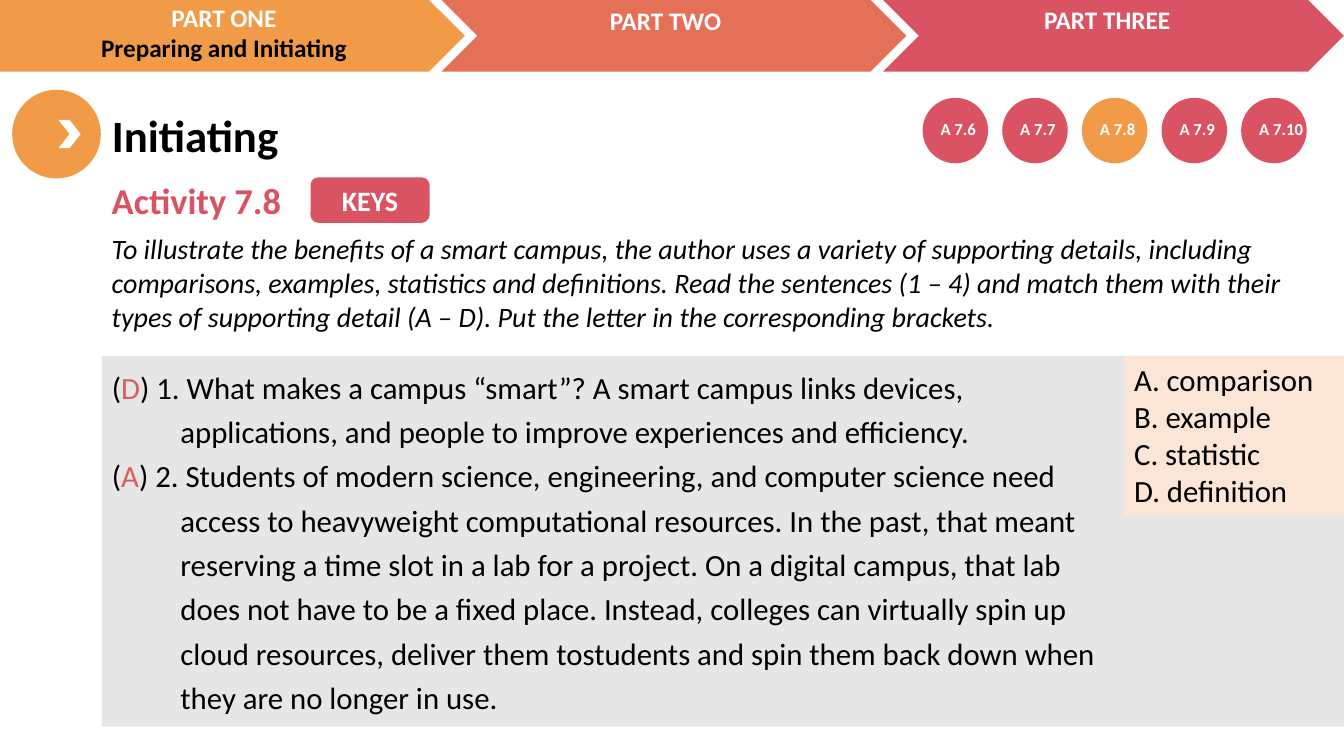
import pptx
import pptx.util
import pptx.dml.color
import pptx.enum.shapes
import pptx.enum.text
from lxml import etree

Inches = pptx.util.Inches
Pt = pptx.util.Pt
RGBColor = pptx.dml.color.RGBColor
Shape = pptx.enum.shapes.MSO_SHAPE
Align = pptx.enum.text.PP_ALIGN
Anchor = pptx.enum.text.MSO_ANCHOR

ORANGE = RGBColor(0xF1, 0x9B, 0x48)
CORAL = RGBColor(0xE4, 0x70, 0x57)
ROSE = RGBColor(0xDA, 0x53, 0x62)
ANSWER = RGBColor(0xDD, 0x5C, 0x60)
GRAY = RGBColor(0xE7, 0xE6, 0xE6)
PEACH = RGBColor(0xFB, 0xE5, 0xD6)
WHITE = RGBColor(0xFF, 0xFF, 0xFF)
BLACK = RGBColor(0, 0, 0)

PARTS = [
    (["PART ONE", "Preparing and Initiating"], ORANGE, Shape.PENTAGON, 0.02),
    (["PART TWO"], CORAL, Shape.CHEVRON, 0.05),
    (["PART THREE"], ROSE, Shape.CHEVRON, 0.04),
]
TITLE = "Initiating"
ACTIVITY = "Activity 7.8"
KEYS = "KEYS"
INSTRUCTION = (
    "To illustrate the benefits of a smart campus, the author uses a variety of "
    "supporting details, including comparisons, examples, statistics and definitions. "
    "Read the sentences (1 – 4) and match them with their types of supporting detail "
    "(A – D). Put the letter in the corresponding brackets."
)
ACTIVITIES = ["A 7.6", "A 7.7", "A 7.8", "A 7.9", "A 7.10"]
CURRENT_ACTIVITY = "A 7.8"
SENTENCES = [
    ("D", "1. What makes a campus “smart”? A smart campus links devices, applications, "
          "and people to improve experiences and efficiency."),
    ("A", "2. Students of modern science, engineering, and computer science need access to "
          "heavyweight computational resources. In the past, that meant reserving a time "
          "slot in a lab for a project. On a digital campus, that lab does not have to be a "
          "fixed place. Instead, colleges can virtually spin up cloud resources, deliver "
          "them tostudents and spin them back down when they are no longer in use."),
]
DETAIL_TYPES = ["A. comparison", "B. example", "C. statistic", "D. definition"]

WIDTH, HEIGHT = 13.33, 7.5
MARGIN = 1.01
BANNER_HEIGHT = 0.71
BANNER_PITCH = 4.38
BANNER_TIP = 0.23
BADGE_LEFT, BADGE_TOP, BADGE_PITCH, BADGE_SIZE = 9.15, 0.97, 0.79, 0.65
PANEL_TOP, PANEL_HEIGHT = 3.53, 3.68
TYPES_LEFT = 11.15
SENTENCES_RIGHT = 11.03
HANGING = 0.68


def place(shape, left, top, width, height):
    shape.left, shape.top = Inches(left), Inches(top)
    shape.width, shape.height = Inches(width), Inches(height)


def style(paragraph, size, color, bold=False, italic=False, align=Align.LEFT):
    paragraph.alignment = align
    font = paragraph.font
    font.name, font.size = "Calibri", Pt(size)
    font.bold, font.italic = bold, italic
    font.color.rgb = color


def write(shape, lines, size, color, anchor=Anchor.TOP, top_inset=0.05, **options):
    frame = shape.text_frame
    frame.word_wrap = True
    frame.vertical_anchor = anchor
    frame.margin_top = Inches(top_inset)
    frame.text = "\n".join(lines)
    for paragraph in frame.paragraphs:
        style(paragraph, size, color, **options)


def add_block(slide, kind, box, color):
    shape = slide.shapes.add_shape(kind, *map(Inches, box))
    shape.shadow.inherit = False
    shape.fill.solid()
    shape.fill.fore_color.rgb = color
    shape.line.fill.background()
    return shape


def add_label(slide, box, lines, size, color, **options):
    label = slide.shapes.add_textbox(*map(Inches, box))
    write(label, lines, size, color, **options)
    return label


def add_banner(slide):
    for index, (lines, color, kind, top_inset) in enumerate(PARTS):
        left = index * BANNER_PITCH
        right = min(left + BANNER_PITCH + BANNER_TIP, WIDTH)
        add_block(slide, kind, (left, 0, right - left, BANNER_HEIGHT), color)
        label = add_label(slide, (left, 0, WIDTH / 3, BANNER_HEIGHT), lines, 18, WHITE,
                          top_inset=top_inset, bold=True, align=Align.CENTER)
        for paragraph in label.text_frame.paragraphs[1:]:
            paragraph.font.color.rgb = BLACK


def add_heading(slide):
    add_block(slide, Shape.OVAL, (0.12, 0.89, 0.88, 0.88), ORANGE)
    add_block(slide, Shape.CHEVRON, (0.58, 1.19, 0.22, 0.28), WHITE)
    title = slide.shapes.title
    place(title, MARGIN, 1.02, 4.85, 0.64)
    write(title, [TITLE], 32, BLACK, bold=True)
    add_label(slide, (MARGIN, 1.72, 11.91, 0.54), [ACTIVITY], 26, ROSE, bold=True)
    keys = add_block(slide, Shape.ROUNDED_RECTANGLE, (3.08, 1.76, 1.18, 0.45), ROSE)
    write(keys, [KEYS], 20, WHITE, anchor=Anchor.MIDDLE, bold=True, align=Align.CENTER)
    add_label(slide, (MARGIN, 2.25, 11.81, 1.11), [INSTRUCTION], 20, BLACK, italic=True)


def add_badges(slide):
    for index, name in enumerate(ACTIVITIES):
        left = BADGE_LEFT + index * BADGE_PITCH
        color = ORANGE if name == CURRENT_ACTIVITY else ROSE
        add_block(slide, Shape.OVAL, (left, BADGE_TOP, BADGE_SIZE, BADGE_SIZE), color)
        add_label(slide, (left + 0.08, BADGE_TOP + 0.16, BADGE_PITCH, 0.3),
                  [name], 12, WHITE, bold=True)


def add_exercise(slide):
    body = slide.placeholders[1]
    place(body, MARGIN, PANEL_TOP, WIDTH - MARGIN, PANEL_HEIGHT)
    body.fill.solid()
    body.fill.fore_color.rgb = GRAY
    frame = body.text_frame
    frame.auto_size = pptx.enum.text.MSO_AUTO_SIZE.NONE
    frame.margin_right = Inches(WIDTH - SENTENCES_RIGHT + 0.1)
    for index, (answer, sentence) in enumerate(SENTENCES):
        paragraph = frame.paragraphs[0] if index == 0 else frame.add_paragraph()
        properties = paragraph._p.get_or_add_pPr()
        properties.set("marL", str(Inches(HANGING)))
        properties.set("indent", str(-Inches(HANGING)))
        etree.SubElement(properties, pptx.oxml.ns.qn("a:buNone"))
        paragraph.line_spacing = 1.2
        paragraph.space_before = Pt(0)
        style(paragraph, 22, BLACK)
        for text in ("(", answer, ") " + sentence):
            run = paragraph.add_run()
            run.text = text
            if text == answer:
                run.font.color.rgb = ANSWER
    types = add_block(slide, Shape.RECTANGLE,
                      (TYPES_LEFT, PANEL_TOP, WIDTH - TYPES_LEFT, 1.58), PEACH)
    write(types, DETAIL_TYPES, 22, BLACK)


def main():
    presentation = pptx.Presentation()
    presentation.slide_width = Inches(WIDTH)
    presentation.slide_height = Inches(HEIGHT)
    slide = presentation.slides.add_slide(presentation.slide_layouts[1])
    add_banner(slide)
    add_heading(slide)
    add_badges(slide)
    add_exercise(slide)
    presentation.save("out.pptx")


if __name__ == "__main__":
    main()
